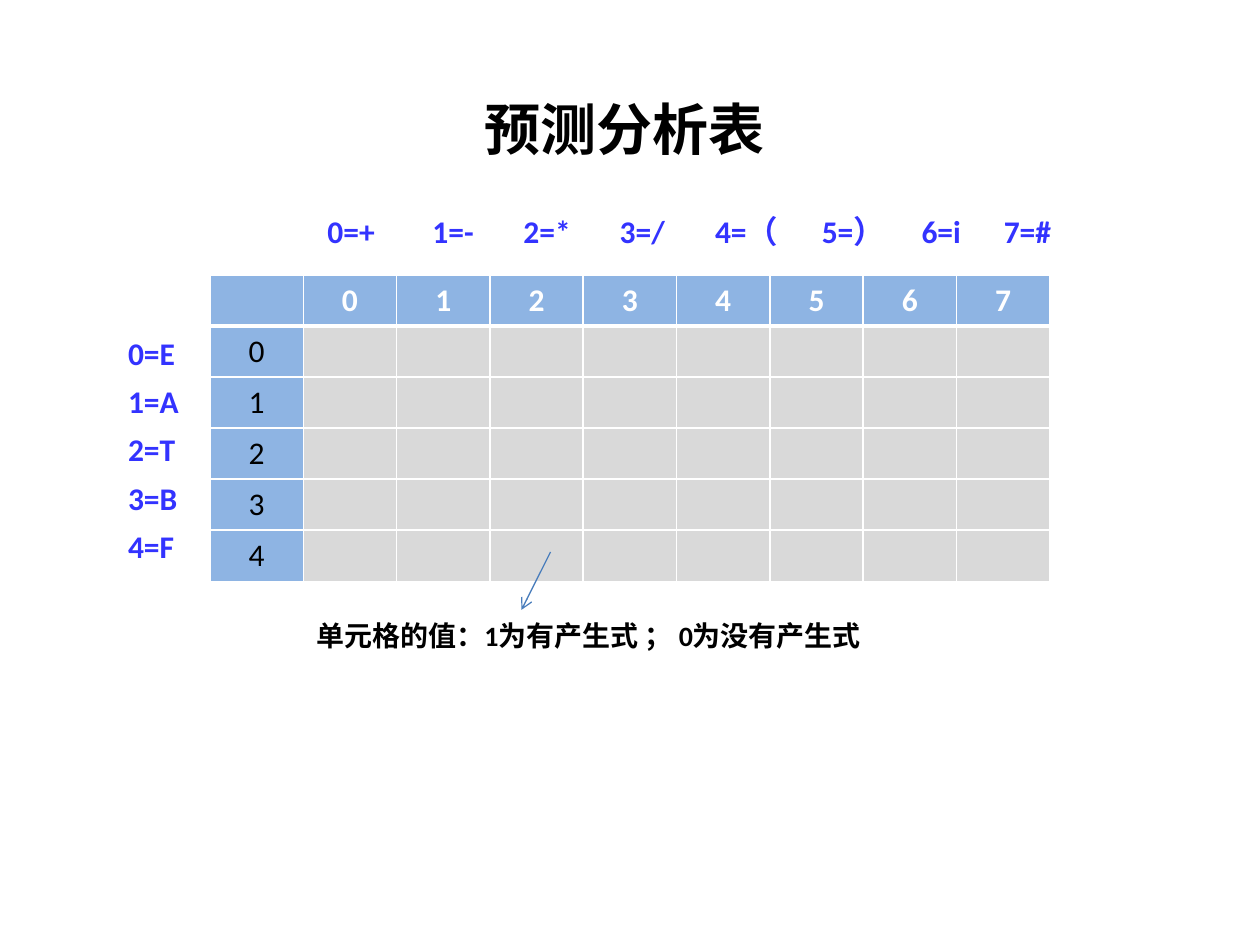
from dataclasses import dataclass

from lxml.etree import SubElement
from pptx import Presentation
from pptx.dml.color import RGBColor
from pptx.enum.shapes import MSO_CONNECTOR
from pptx.enum.text import PP_ALIGN
from pptx.oxml.ns import qn
from pptx.util import Pt


@dataclass(frozen=True)
class Theme:
    """Colours, font and type sizes of the slide."""
    font: str = "Calibri"
    black: str = "000000"
    white: str = "FFFFFF"
    label: str = "3333FF"
    header: str = "8EB4E3"
    body: str = "D9D9D9"
    arrow: str = "4B7EBC"
    title_size: float = 32
    text_size: float = 18
    caption_size: float = 16


THEME = Theme()
TERMINALS = ["0=+", "1=-", "2=*", "3=/", "4=（", "5=）", "6=i", "7=#"]
TERMINAL_STOPS = [60, 112, 167, 221.5, 282.5, 339.5, 386.5]
NONTERMINALS = ["0=E", "1=A", "2=T", "3=B", "4=F"]


def style_font(font, size, color, bold=True):
    """Apply the theme font with a size, colour and weight."""
    font.name = THEME.font
    font.size = Pt(size)
    font.bold = bold
    font.color.rgb = RGBColor.from_string(color)


def add_text(page, box, text, size, color, space_before=0, indent=7.2, stops=()):
    """Place bold text in a box, one paragraph a line, with optional tab stops."""
    shape = page.shapes.add_textbox(*map(Pt, box))
    frame = shape.text_frame
    frame.word_wrap = True
    frame.margin_left = Pt(indent)
    frame.text = text
    for index, para in enumerate(frame.paragraphs):
        if index:
            para.space_before = Pt(space_before)
        if stops:
            tabs = SubElement(para._p.get_or_add_pPr(), qn("a:tabLst"))
            for stop in stops:
                SubElement(tabs, qn("a:tab"), pos=str(Pt(stop)), algn="l")
        for span in para.runs:
            style_font(span.font, size, color)


def add_borders(cell, widths):
    """Draw white borders on a cell, with a width for each side."""
    properties = cell._tc.get_or_add_tcPr()
    for side, width in widths.items():
        line = SubElement(properties, qn(f"a:ln{side}"), w=str(Pt(width)))
        fill = SubElement(line, qn("a:solidFill"))
        SubElement(fill, qn("a:srgbClr"), val=THEME.white)


def add_parse_table(page, box):
    """Place the empty prediction table with numbered header row and column."""
    row_count, column_count = len(NONTERMINALS) + 1, len(TERMINALS) + 1
    table = page.shapes.add_table(row_count, column_count, *map(Pt, box)).table
    table.horz_banding = False
    for column in table.columns:
        column.width = Pt(box[2] / column_count)
    for row_index, row in enumerate(table.rows):
        row.height = Pt(box[3] / row_count)
        for column_index, cell in enumerate(row.cells):
            is_header = row_index == 0
            is_label = is_header != (column_index == 0)
            add_borders(cell, {"L": 1, "R": 1, "T": 3 if row_index == 1 else 1,
                               "B": 3 if is_header else 1})
            cell.fill.solid()
            color = THEME.header if is_header or is_label else THEME.body
            cell.fill.fore_color.rgb = RGBColor.from_string(color)
            para = cell.text_frame.paragraphs[0]
            para.alignment = PP_ALIGN.CENTER
            if is_label:
                para.text = str(max(row_index, column_index) - 1)
            for font in [para.font, *(span.font for span in para.runs)]:
                style_font(font, THEME.text_size,
                           THEME.white if is_header else THEME.black, is_header)


def add_arrow(page, start, end):
    """Draw a thin arrow from start to end."""
    arrow = page.shapes.add_connector(MSO_CONNECTOR.STRAIGHT, *map(Pt, start + end))
    arrow.line.width = Pt(0.75)
    arrow.line.color.rgb = RGBColor.from_string(THEME.arrow)
    SubElement(arrow.line._get_or_add_ln(), qn("a:tailEnd"), type="arrow")
    SubElement(arrow._element.spPr, qn("a:effectLst"))


def build_table_page(page):
    """Place the title, the table with its labels, and the caption."""
    add_parse_table(page, (120, 157, 480, 175.2))
    add_text(page, (174, 350, 416, 27), "单元格的值：1为有产生式 ； 0为没有产生式",
             THEME.caption_size, THEME.black)
    add_text(page, (270, 50.4, 176.4, 46), "预测分析表", THEME.title_size, THEME.black)
    add_text(page, (180, 117.4, 456, 29), "\t".join(TERMINALS),
             THEME.text_size, THEME.label, stops=TERMINAL_STOPS)
    add_text(page, (62, 187.2, 56, 140.4), "\n".join(NONTERMINALS),
             THEME.text_size, THEME.label, space_before=6, indent=11.2)
    add_arrow(page, (314.6, 315.4), (298, 348.5))


def main():
    """Build and save the deck."""
    deck = Presentation()
    deck.slide_width, deck.slide_height = Pt(720), Pt(540)
    build_table_page(deck.slides.add_slide(deck.slide_layouts[6]))
    deck.save("out.pptx")


if __name__ == "__main__":
    main()
